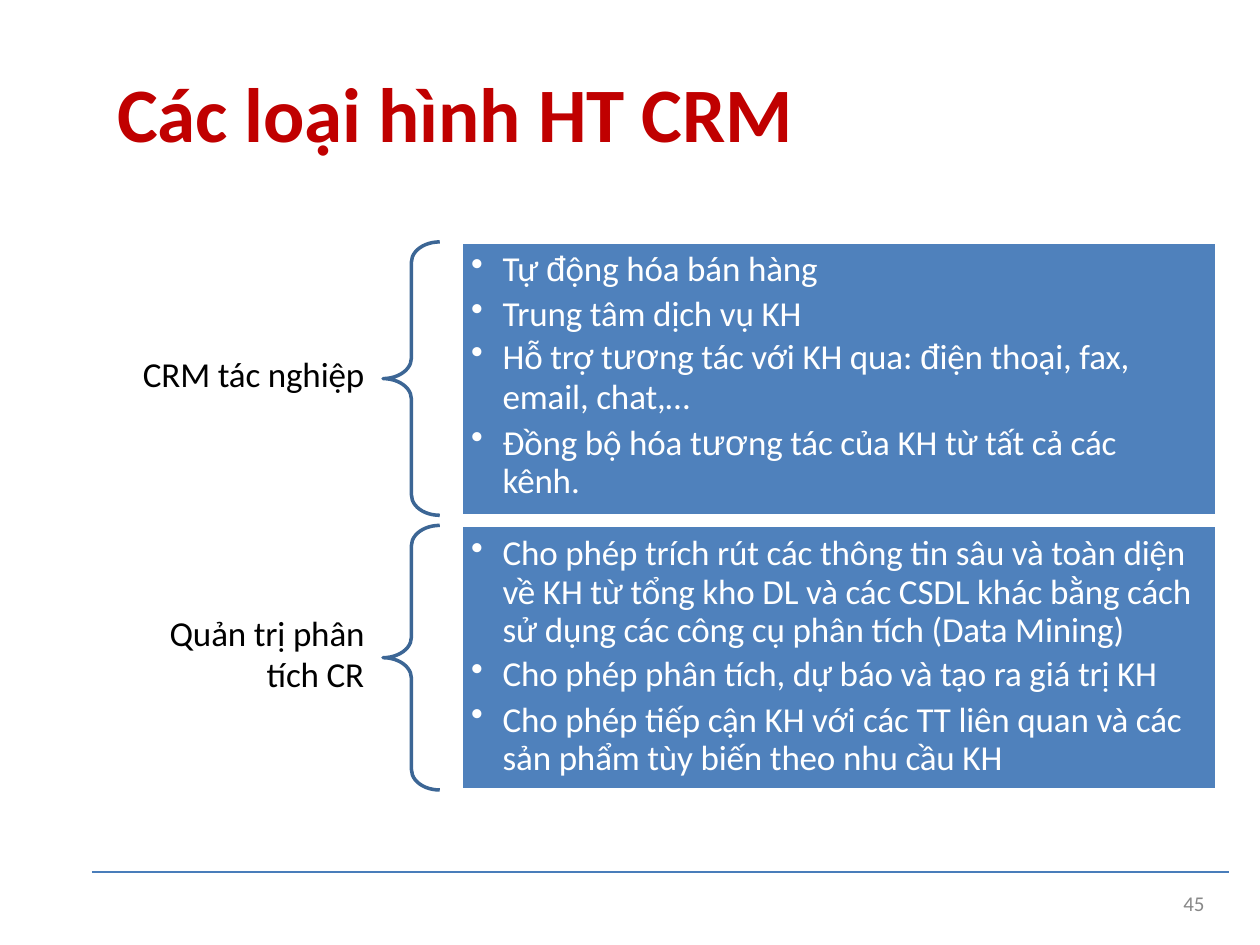
"""Build a slide that sets out two types of CRM system with braces and bullet panels."""
from dataclasses import dataclass
from itertools import groupby
from typing import Optional

import pptx
import pptx.dml.color
import pptx.enum.shapes
import pptx.enum.text
import pptx.oxml
import pptx.oxml.ns
import pptx.util

Inches = pptx.util.Inches
Pt = pptx.util.Pt
RGBColor = pptx.dml.color.RGBColor
PP_ALIGN = pptx.enum.text.PP_ALIGN
MSO_ANCHOR = pptx.enum.text.MSO_ANCHOR
MSO_SHAPE = pptx.enum.shapes.MSO_SHAPE
qn = pptx.oxml.ns.qn

RED = RGBColor(0xC0, 0x00, 0x00)
BLACK = RGBColor(0x00, 0x00, 0x00)
WHITE = RGBColor(0xFF, 0xFF, 0xFF)
GRAY = RGBColor(0x88, 0x88, 0x88)
PANEL_BLUE = RGBColor(0x4F, 0x81, 0xBC)
BRACE_BLUE = RGBColor(0x3C, 0x66, 0x95)
RULE_BLUE = RGBColor(0x49, 0x7D, 0xBA)
ARIAL_LETTERS = "đươ"


@dataclass
class Bullet:
    text: str
    before: float
    leading: Optional[float] = None


@dataclass
class Group:
    label: str
    label_top: float
    label_height: float
    top: float
    height: float
    inset_top: float
    inset_right: float
    bullets: list[Bullet]


GROUPS = [
    Group("CRM tác nghiệp", 2.79, 0.36, 1.92, 2.17, 0.04, 0.25, [
        Bullet("Tự động hóa bán hàng", 3.1),
        Bullet("Trung tâm dịch vụ KH", 1.6),
        Bullet("Hỗ trợ tương tác với KH qua: điện thoại, fax, email, chat,…", 1.6, 23),
        Bullet("Đồng bộ hóa tương tác của KH từ tất cả các kênh.", 4, 22),
    ]),
    Group("Quản trị phân tích CR", 4.85, 0.67, 4.17, 2.1, 0.07, 0, [
        Bullet("Cho phép trích rút các thông tin sâu và toàn diện về KH từ tổng kho DL "
               "và các CSDL khác bằng cách sử dụng các công cụ phân tích (Data Mining)", 5, 22),
        Bullet("Cho phép phân tích, dự báo và tạo ra giá trị KH", 1.2),
        Bullet("Cho phép tiếp cận KH với các TT liên quan và các "
               "sản phẩm tùy biến theo nhu cầu KH", 4, 22),
    ]),
]


def set_insets(tf, top: float = 0, right: float = 0) -> None:
    tf.margin_left = tf.margin_bottom = 0
    tf.margin_top, tf.margin_right = Inches(top), Inches(right)
    tf.vertical_anchor = MSO_ANCHOR.TOP


def format_run(r, size: float, color: RGBColor, font: str = "Calibri", bold: bool = False) -> None:
    r.font.name, r.font.size, r.font.bold = font, Pt(size), bold
    r.font.color.rgb = color
    r.font._element.set("spc", "-10")


def add_text(s, text: str, left: float, top: float, width: float, height: float, size: float,
             color: RGBColor, align=PP_ALIGN.LEFT, bold: bool = False,
             leading: Optional[float] = None) -> None:
    tf = s.shapes.add_textbox(Inches(left), Inches(top), Inches(width), Inches(height)).text_frame
    tf.word_wrap = True
    set_insets(tf, 0.02)
    p = tf.paragraphs[0]
    p.text, p.alignment = text, align
    if leading:
        p.line_spacing = Pt(leading)
    format_run(p.runs[0], size, color, bold=bold)


def add_bullet(p, bullet: Bullet) -> None:
    p.alignment = PP_ALIGN.LEFT
    p.space_before = Pt(bullet.before)
    if bullet.leading:
        p.line_spacing = Pt(bullet.leading)
    pPr = p._p.get_or_add_pPr()
    pPr.set("marL", str(Inches(0.33)))
    pPr.set("indent", str(-Inches(0.25)))
    pptx.oxml.xmlchemy.OxmlElement("a:buChar")
    char = pPr.makeelement(qn("a:buChar"), {"char": "•"})
    pPr.append(char)
    for is_arial, letters in groupby(bullet.text, lambda c: c in ARIAL_LETTERS):
        r = p.add_run()
        r.text = "".join(letters)
        format_run(r, 20, WHITE, "Arial" if is_arial else "Calibri")


def add_group(s, group: Group) -> None:
    add_text(s, group.label, 1, group.label_top, 1.89, group.label_height, 20, BLACK,
             PP_ALIGN.RIGHT, leading=23)

    top, height = Inches(group.top), Inches(group.height)
    brace = s.shapes.add_shape(MSO_SHAPE.LEFT_BRACE, Inches(3.04), top, Inches(0.45), height)
    brace.adjustments[0] = 0.36
    brace.fill.background()
    brace.line.color.rgb, brace.line.width = BRACE_BLUE, Pt(2)
    brace.shadow.inherit = False

    panel = s.shapes.add_shape(MSO_SHAPE.RECTANGLE, Inches(3.66), top, Inches(6), height)
    panel.fill.solid()
    panel.fill.fore_color.rgb = PANEL_BLUE
    panel.line.color.rgb, panel.line.width = WHITE, Pt(2)
    panel.shadow.inherit = False
    tf = panel.text_frame
    tf.word_wrap = True
    set_insets(tf, group.inset_top, group.inset_right)
    for i, bullet in enumerate(group.bullets):
        add_bullet(tf.add_paragraph() if i else tf.paragraphs[0], bullet)


def add_rule(s) -> None:
    rule = s.shapes.add_connector(pptx.enum.shapes.MSO_CONNECTOR.STRAIGHT,
                                  Inches(0.73), Inches(6.92), Inches(9.75), Inches(6.92))
    rule.line.color.rgb, rule.line.width = RULE_BLUE, Pt(0.78)
    spPr = rule._element.spPr
    spPr.append(spPr.makeelement(qn("a:effectLst"), {}))


def main() -> None:
    prs = pptx.Presentation()
    prs.slide_width, prs.slide_height = Inches(10), Inches(7.5)
    s = prs.slides.add_slide(prs.slide_layouts[6])
    add_rule(s)
    add_text(s, "Các loại hình HT CRM", 0.93, 0.5, 6, 0.76, 44, RED, bold=True)
    for group in GROUPS:
        add_group(s, group)
    add_text(s, "45", 9.36, 7.05, 0.2, 0.19, 12, GRAY, PP_ALIGN.RIGHT)
    prs.save("out.pptx")


if __name__ == "__main__":
    main()
